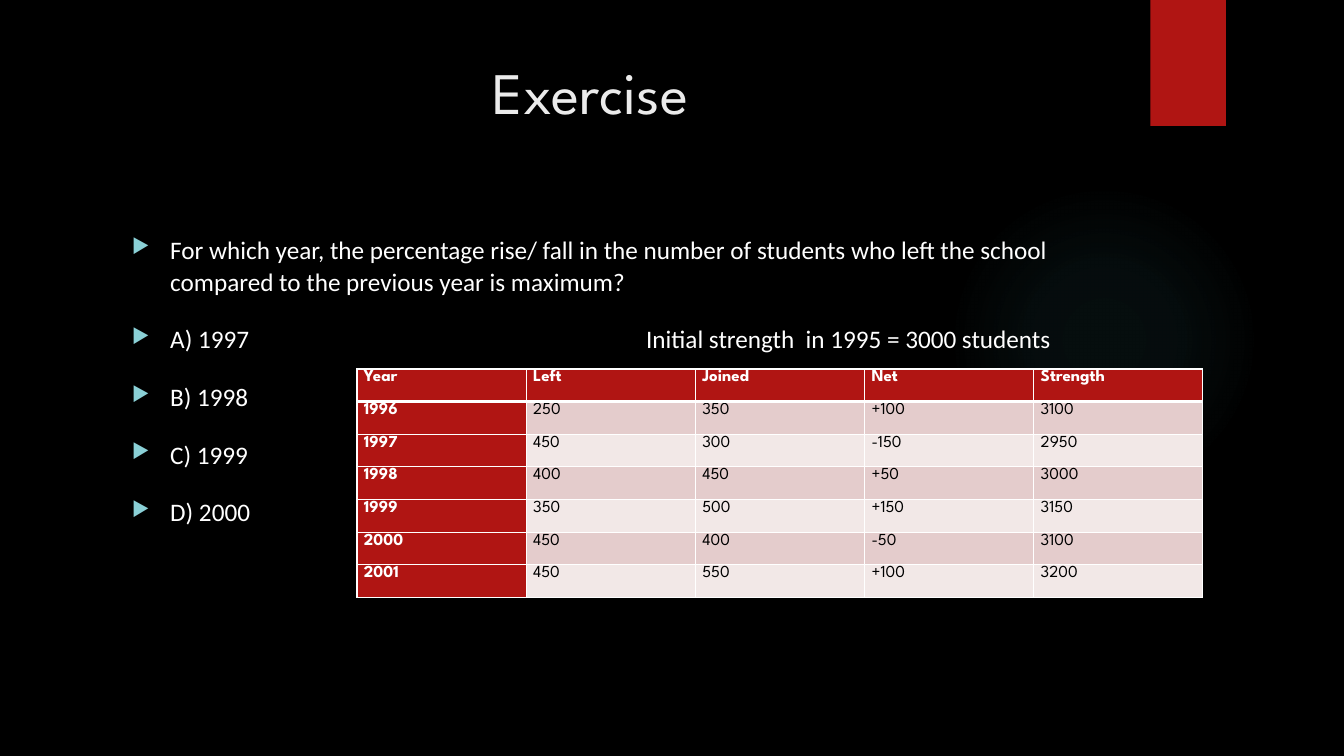
from lxml import etree
from pptx import Presentation
from pptx.dml.color import RGBColor as Rgb
from pptx.enum.shapes import MSO_SHAPE as Shape
from pptx.enum.text import MSO_ANCHOR as Anchor, PP_ALIGN as Align
from pptx.oxml import parse_xml
from pptx.oxml.ns import nsdecls, qn
from pptx.util import Inches, Pt

HUES = {
    "back": "000000",
    "white": "FFFFFF",
    "title": "EBEBEB",
    "red": "B01513",
    "glow": "50B9C1",
    "bullet": "8AD0D6",
    "odd": "E4CCCC",
    "even": "F2E8E7",
}
HEAD = "League Spartan"
BODY = "Calibri"
LINES = [
    "For which year, the percentage rise/ fall in the number of students "
    "who left the school compared to the previous year is maximum?",
    "A) 1997\tInitial strength  in 1995 = 3000 students",
    "B) 1998",
    "C) 1999",
    "D) 2000",
]
ROWS = [
    ("Year", "Left", "Joined", "Net", "Strength"),
    ("1996", "250", "350", "+100", "3100"),
    ("1997", "450", "300", "-150", "2950"),
    ("1998", "400", "450", "+50", "3000"),
    ("1999", "350", "500", "+150", "3150"),
    ("2000", "450", "400", "-50", "3100"),
    ("2001", "450", "550", "+100", "3200"),
]


def hue(name):
    return Rgb.from_string(HUES[name])


def style(para, font, size, color, bold=False):
    for run in para.runs:
        run.font.name = font
        run.font.size = Pt(size)
        run.font.bold = bold
        run.font.color.rgb = hue(color)


def add_form(slide, kind, box):
    form = slide.shapes.add_shape(kind, *map(Inches, box))
    form.shadow.inherit = False
    form.line.fill.background()
    return form


def add_glow(slide, box):
    form = add_form(slide, Shape.OVAL, box)
    stops = "".join(
        f'<a:gs pos="{pos * 1000}"><a:srgbClr val="{HUES["glow"]}">'
        f'<a:alpha val="{alpha * 1000}"/></a:srgbClr></a:gs>'
        for pos, alpha in ((0, 7), (36, 6), (69, 0), (100, 0))
    )
    fill = parse_xml(
        f'<a:gradFill {nsdecls("a")} rotWithShape="1"><a:gsLst>{stops}</a:gsLst>'
        '<a:path path="circle"><a:fillToRect l="50000" t="50000" r="50000" '
        'b="50000"/></a:path></a:gradFill>'
    )
    form._element.spPr.find(qn("a:prstGeom")).addnext(fill)


def add_flag(slide, box):
    form = add_form(slide, Shape.RECTANGLE, box)
    form.fill.solid()
    form.fill.fore_color.rgb = hue("red")


def add_text(slide, box, text):
    frame = slide.shapes.add_textbox(*map(Inches, box)).text_frame
    frame.word_wrap = True
    frame.vertical_anchor = Anchor.TOP
    frame.text = text
    return frame


def add_title(slide, box):
    para = add_text(slide, box, "Exercise").paragraphs[0]
    para.alignment = Align.CENTER
    style(para, HEAD, 42, "title")


def add_bullet(para, indent, stop):
    props = para._p.get_or_add_pPr()
    props.set("marL", str(Inches(indent)))
    props.set("indent", str(-Inches(indent)))
    color = etree.SubElement(props, qn("a:buClr"))
    etree.SubElement(color, qn("a:srgbClr"), val=HUES["bullet"])
    etree.SubElement(props, qn("a:buSzPct"), val="80000")
    etree.SubElement(props, qn("a:buChar"), char="▶")
    tabs = etree.SubElement(props, qn("a:tabLst"))
    etree.SubElement(tabs, qn("a:tab"), pos=str(Inches(stop)), algn="l")


def add_body(slide, box):
    frame = add_text(slide, box, "\n".join(LINES))
    for para in frame.paragraphs:
        para.line_spacing = 1.07
        para.space_before = Pt(10)
        para.space_after = Pt(8)
        add_bullet(para, 0.38, 5.1)
        style(para, BODY, 18, "white")


def add_edge(cell, side, width, spot):
    edge = etree.Element(qn(f"a:ln{side}"), w=str(Pt(width)))
    fill = etree.SubElement(edge, qn("a:solidFill"))
    etree.SubElement(fill, qn("a:srgbClr"), val=HUES["white"])
    cell._tc.get_or_add_tcPr().insert(spot, edge)


def fill_cell(cell, text, row, col):
    lead = row == 0 or col == 0
    cell.margin_left = cell.margin_right = Inches(0.07)
    cell.margin_top = cell.margin_bottom = 0
    cell.fill.solid()
    cell.fill.fore_color.rgb = hue("red" if lead else "odd" if row % 2 else "even")
    thick = {0: "B", 1: "T"}.get(row)
    for spot, side in enumerate("LRTB"):
        add_edge(cell, side, 3 if side == thick else 1, spot)
    cell.text_frame.text = text
    para = cell.text_frame.paragraphs[0]
    para.line_spacing = 1.07
    para.space_after = Pt(8)
    style(para, HEAD, 12, "white" if lead else "back", lead)


def add_grid(slide, box):
    table = slide.shapes.add_table(len(ROWS), len(ROWS[0]), *map(Inches, box)).table
    for row, texts in enumerate(ROWS):
        for col, text in enumerate(texts):
            fill_cell(table.cell(row, col), text, row, col)


def main():
    deck = Presentation()
    deck.slide_width = Inches(13.33)
    deck.slide_height = Inches(7.5)
    slide = deck.slides.add_slide(deck.slide_layouts[6])
    slide.background.fill.solid()
    slide.background.fill.fore_color.rgb = hue("back")
    add_glow(slide, (9.41, 1.83, 3.08, 3.08))
    add_flag(slide, (11.41, 0, 0.75, 1.25))
    add_title(slide, (0.71, 0.5, 10.29, 1.53))
    add_body(slide, (1.21, 2.25, 9.78, 4.59))
    add_grid(slide, (3.54, 3.66, 8.39, 2.27))
    deck.save("out.pptx")


if __name__ == "__main__":
    main()
